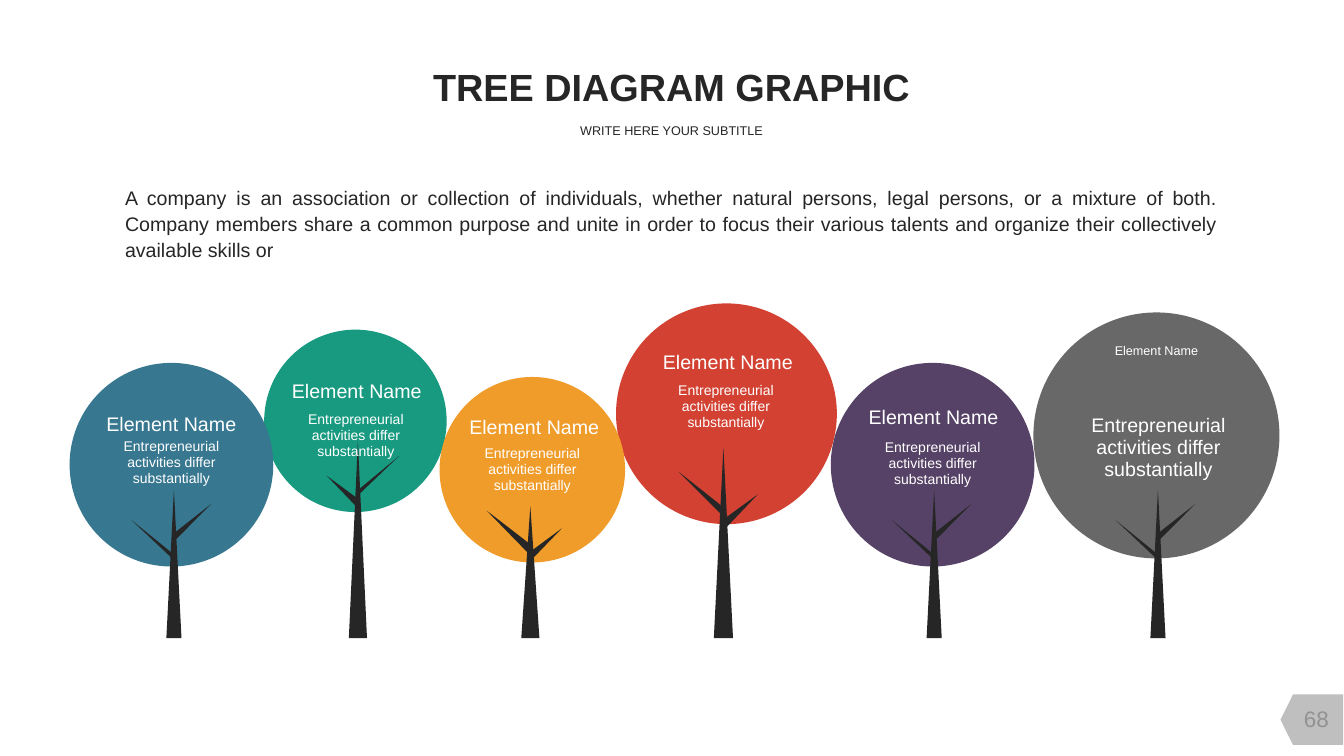
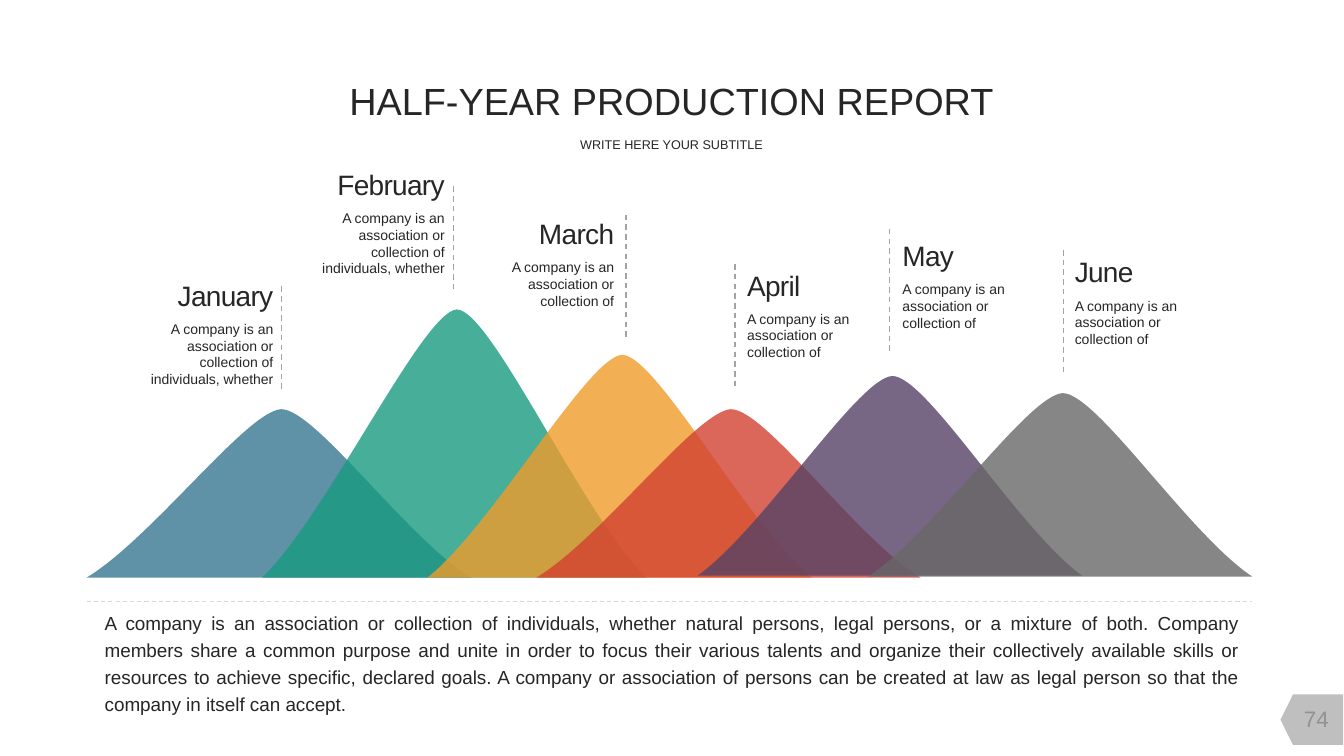
from lxml.etree import SubElement
from pptx import Presentation
from pptx.dml.color import RGBColor
from pptx.enum.dml import MSO_LINE
from pptx.enum.shapes import MSO_CONNECTOR, MSO_SHAPE
from pptx.enum.text import MSO_ANCHOR, MSO_AUTO_SIZE, PP_ALIGN
from pptx.oxml.ns import qn
from pptx.util import Pt

PX = 9144
FONT = "Arial"
INK, WHITE = "262626", "FFFFFF"
BLUE, GREEN, ORANGE = "377790", "189A80", "F09C2A"
RED, PURPLE, GRAY = "D24132", "564266", "686868"
TAG, TAG_TEXT, DASH, RULE = "BFBFBF", "929292", "A3A3A3", "D9D9D9"
LEFT, CENTER, RIGHT, JUSTIFY = PP_ALIGN.LEFT, PP_ALIGN.CENTER, PP_ALIGN.RIGHT, PP_ALIGN.JUSTIFY

INTRO = (
    "A company is an association or collection of individuals, whether natural persons, "
    "legal persons, or a mixture of both. Company members share a common purpose and unite "
    "in order to focus their various talents and organize their collectively available skills or"
)
GOALS = (
    " resources to achieve specific, declared goals. A company or association of persons can "
    "be created at law as legal person so that the company in itself can accept."
)
SHORT_NOTE = "A company is an association or collection of"
LONG_NOTE = SHORT_NOTE + " individuals, whether"
TREE_NOTE = "Entrepreneurial activities differ substantially"

GROUND = 633
SLIM_BRANCHES = [(-16, 507, 4, 54, 311.2), (23, 492, 6, 49, 48.3)]
GREEN_BRANCHES = [(-10, 465, 7, 41, 311.2), (27, 443, 4, 56, 48.3)]
ORANGE_BRANCHES = [(21, 517, 7, 42, 48.8), (-17, 497, 8, 57, 311.7)]
RED_BRANCHES = [(23, 483, 8, 44, 48.8), (-16, 458, 7, 60, 311.7)]
SMALL_NAME, NAME = (156, 24, 9), (156, 32, 14)
NOTE, BIG_NOTE = (156, 58, 10), (172, 77, 14)

# colour, crown (x, y, diameter), trunk (x, y, width), branches,
# name (middle, y), name box (width, height, size), note (middle, y), note box
TREES = [
    (RED, (611, 301, 219), (708, 444, 19), RED_BRANCHES, (722, 344), NAME, (720, 375), NOTE),
    (PURPLE, (824, 360, 202), (919, 486, 15), SLIM_BRANCHES, (926, 398), NAME, (925, 431), NOTE),
    (GRAY, (1025, 310, 244), (1141, 486, 15), SLIM_BRANCHES, (1147, 336), SMALL_NAME, (1149, 406), BIG_NOTE),
    (GREEN, (262, 327, 181), (346, 438, 18), GREEN_BRANCHES, (354, 373), NAME, (353, 404), NOTE),
    (ORANGE, (436, 374, 184), (517, 502, 18), ORANGE_BRANCHES, (530, 408), NAME, (528, 437), NOTE),
    (BLUE, (69, 360, 202), (165, 486, 15), SLIM_BRANCHES, (170, 405), NAME, (170, 430), NOTE),
]

# colour, hill (x, top, base), month, note, label (x, y, width, height), align, line (x, y1, y2)
MONTHS = [
    (BLUE, (86, 406, 573), "January", LONG_NOTE, (114, 269, 170, 123), RIGHT, (279, 284, 389)),
    (GREEN, (260, 307, 573), "February", LONG_NOTE, (284, 159, 170, 123), RIGHT, (450, 185, 290)),
    (ORANGE, (424, 352, 573), "March", SHORT_NOTE, (467, 208, 155, 106), RIGHT, (621, 213, 338)),
    (RED, (532, 406, 573), "April", SHORT_NOTE, (728, 259, 145, 106), LEFT, (729, 262, 387)),
    (PURPLE, (692, 373, 571), "May", SHORT_NOTE, (882, 230, 145, 106), LEFT, (882, 227, 352)),
    (GRAY, (861, 390, 572), "June", SHORT_NOTE, (1053, 246, 145, 106), LEFT, (1055, 248, 372)),
]
HILL_CURVE = [(0, 0), (64, 0.23), (159, 0.99), (193, 1), (227, 1), (318, 0.23), (381, 0)]


def rgb(value):
    """Return the colour of a hex string."""
    return RGBColor.from_string(value)


class Deck:
    """Holds the style and the current slide."""

    def __init__(self):
        """Start a widescreen presentation."""
        self.prs = Presentation()
        self.prs.slide_width, self.prs.slide_height = 1333 * PX, 750 * PX

    def slide(self, title, y, w, number, bold=False):
        """Add a slide with its title, subtitle and page tag."""
        self.s = self.prs.slides.add_slide(self.prs.slide_layouts[6])
        self.shape(MSO_SHAPE.FLOWCHART_OFFPAGE_CONNECTOR, 1276, 683, 50, 62, TAG, 90)
        self.text(1278, 693, 55, 40, [(number, 16)], color=TAG_TEXT, anchor=MSO_ANCHOR.MIDDLE, grow=False)
        heading = dict(anchor=MSO_ANCHOR.MIDDLE, inset=(13, 7), wrap=False)
        self.text(666 - w // 2, y, w, 59, [(title, 27)], bold=bold, **heading)
        self.text(561, y + 59, 210, 29, [("WRITE HERE YOUR SUBTITLE", 9)], **heading)

    def paint(self, sp, color, alpha=None):
        """Give a shape a flat fill without line or shadow."""
        sp.shadow.inherit = False
        sp.line.fill.background()
        sp.fill.solid()
        sp.fill.fore_color.rgb = rgb(color)
        if alpha:
            clr = sp._element.spPr.find(qn("a:solidFill"))[0]
            SubElement(clr, qn("a:alpha"), val=str(alpha * 1000))

    def shape(self, kind, x, y, w, h, color, rotation=0):
        """Add a preset shape."""
        sp = self.s.shapes.add_shape(kind, x * PX, y * PX, w * PX, h * PX)
        sp.rotation = rotation
        self.paint(sp, color)

    def text(self, x, y, w, h, lines, align=CENTER, color=INK, bold=False, anchor=MSO_ANCHOR.TOP,
             inset=(10, 5), wrap=True, grow=True, spacing=None, gap=0, tracking=0):
        """Add a text box with one paragraph for each (text, size) line."""
        tf = self.s.shapes.add_textbox(x * PX, y * PX, w * PX, h * PX).text_frame
        tf.word_wrap = wrap
        tf.auto_size = MSO_AUTO_SIZE.SHAPE_TO_FIT_TEXT if grow else MSO_AUTO_SIZE.NONE
        tf.vertical_anchor = anchor
        tf.margin_left = tf.margin_right = inset[0] * PX
        tf.margin_top = tf.margin_bottom = inset[1] * PX
        for i, (words, size) in enumerate(lines):
            p = tf.add_paragraph() if i else tf.paragraphs[0]
            p.alignment = align
            if spacing:
                p.line_spacing = spacing
            if i:
                p.space_before = Pt(gap)
            r = p.add_run()
            r.text = words
            r.font.name, r.font.size, r.font.bold = FONT, Pt(size), bold
            r.font.color.rgb = rgb(color)
            if tracking and not i:
                r._r.get_or_add_rPr().set("spc", str(tracking))

    def line(self, x1, y1, x2, y2, color, width):
        """Add a dashed line."""
        c = self.s.shapes.add_connector(MSO_CONNECTOR.STRAIGHT, x1 * PX, y1 * PX, x2 * PX, y2 * PX)
        c.line.color.rgb = rgb(color)
        c.line.width = Pt(width)
        c.line.dash_style = MSO_LINE.DASH
        SubElement(c._element.spPr, qn("a:effectLst"))

    def tree(self, color, crown, trunk, branches, name_at, name_box, note_at, note_box):
        """Add a round tree with its name and note."""
        x, y, d = crown
        self.shape(MSO_SHAPE.OVAL, x, y, d, d, color)
        tx, ty, tw = trunk
        self.shape(MSO_SHAPE.ISOSCELES_TRIANGLE, tx, ty, tw, GROUND - ty, INK)
        for dx, by, bw, bh, angle in branches:
            self.shape(MSO_SHAPE.ISOSCELES_TRIANGLE, tx + dx, by, bw, bh, INK, angle)
        labels = ((TREE_NOTE, note_at, note_box), ("Element Name", name_at, name_box))
        for words, (middle, top), (w, h, size) in labels:
            self.text(middle - w // 2, top, w, h, [(words, size)], color=WHITE, spacing=0.95)

    def hill(self, color, x, top, base):
        """Add a translucent bell-shaped hill of two cubic curves."""
        points = [(round((x + dx) * PX), round((base - rise * (base - top)) * PX)) for dx, rise in HILL_CURVE]
        fb = self.s.shapes.build_freeform(*points[0], scale=1.0)
        fb.add_line_segments(points[1:], close=True)
        sp = fb.convert_to_shape()
        corners = list(sp._element.iter(qn("a:lnTo")))
        outline = corners[0].getparent()
        close = outline.find(qn("a:close"))
        for start in (0, 3):
            curve = SubElement(outline, qn("a:cubicBezTo"))
            for corner in corners[start:start + 3]:
                curve.append(corner[0])
                outline.remove(corner)
        outline.append(close)
        self.paint(sp, color, 80)

    def month(self, name, note, box, align, marker):
        """Add a month label with its dashed marker."""
        x, y1, y2 = marker
        self.line(x, y1, x, y2, DASH, 1)
        self.text(*box, [(name, 20), (note, 10)], align=align, inset=(13, 7), gap=6, tracking=-50)


def main():
    """Build both slides and save them."""
    deck = Deck()
    deck.slide("TREE DIAGRAM GRAPHIC", 56, 504, "68", bold=True)
    for tree in TREES:
        deck.tree(*tree)
    deck.text(124, 187, 1084, 67, [(INTRO, 14)], align=JUSTIFY, anchor=MSO_ANCHOR.MIDDLE,
              inset=(0, 0), grow=False, spacing=1.1)

    deck.slide("HALF-YEAR PRODUCTION REPORT", 70, 672, "74")
    for color, hill, *_ in MONTHS:
        deck.hill(color, *hill)
    for _, _, *label in MONTHS:
        deck.month(*label)
    deck.line(86, 597, 1242, 597, RULE, 0.75)
    deck.text(94, 597, 1145, 119, [(INTRO + GOALS, 13.5)], align=JUSTIFY, spacing=1.2)
    deck.prs.save("out.pptx")


if __name__ == "__main__":
    main()
